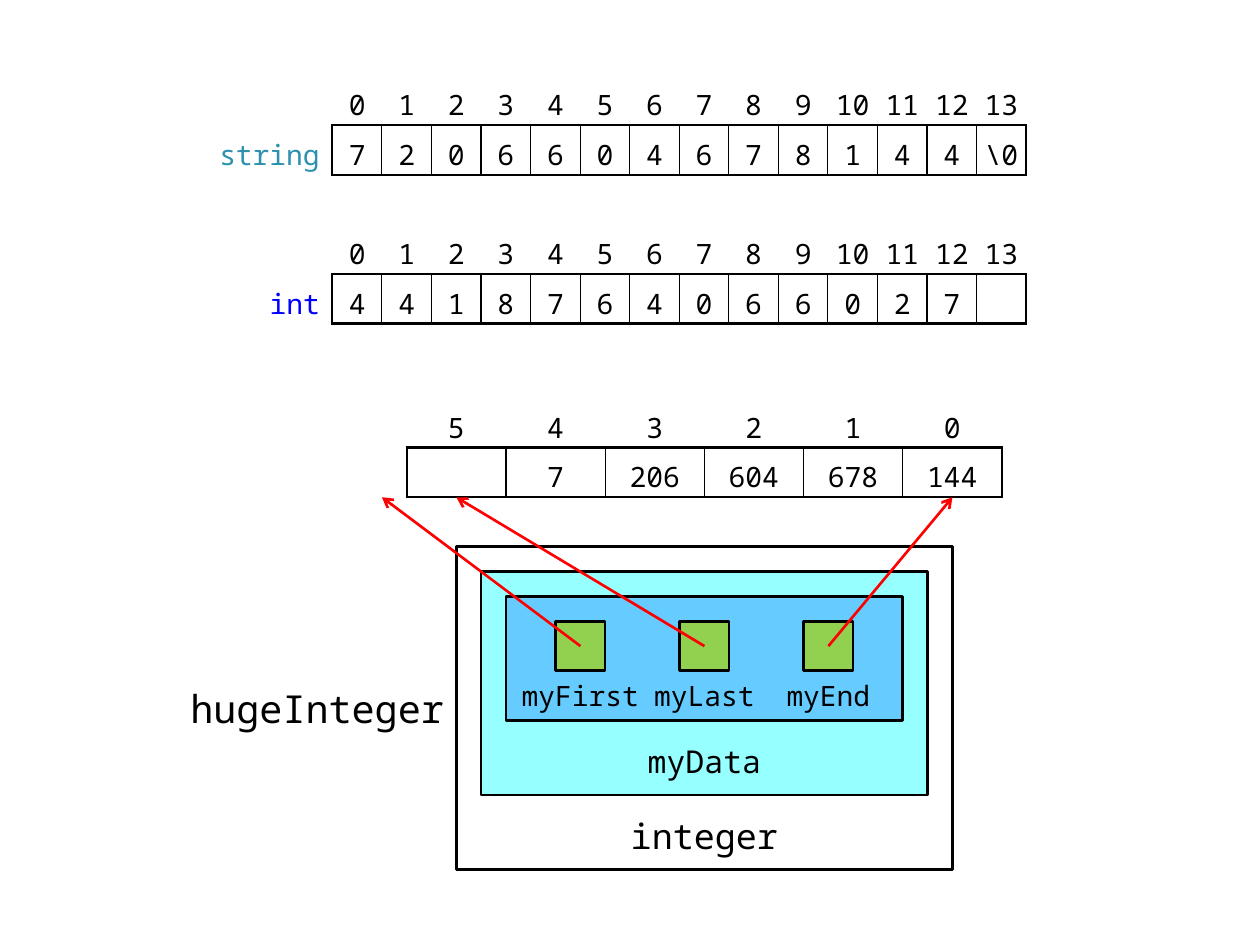
from dataclasses import dataclass

from pptx import Presentation
from pptx.dml.color import RGBColor
from pptx.enum.shapes import MSO_CONNECTOR as Connector, MSO_SHAPE as Shape
from pptx.enum.text import MSO_ANCHOR as Anchor, PP_ALIGN as Align
from pptx.oxml import parse_xml
from pptx.oxml.ns import nsdecls, qn
from pptx.util import Inches, Pt


@dataclass(frozen=True)
class Theme:
    font: str = "Noto Sans Mono"
    black: str = "000000"
    white: str = "FFFFFF"
    type_name: str = "2B91AF"
    keyword: str = "0000FF"
    pale_cyan: str = "96FFFF"
    sky: str = "66CCFF"
    green: str = "92D050"
    red: str = "FF0000"
    small: int = 16
    medium: int = 18
    large: int = 20
    huge: int = 22
    thin: float = 0.75
    thick: float = 1.5


THEME = Theme()
CELL = 1 / 2.54
LEFT, TOP = 1.26, 0.6
NO_GRID_STYLE = "{2D5ABB26-0587-4C30-8999-92F81FD0307C}"


def set_attributes(target, values):
    for name, value in values.items():
        setattr(target, name, value)


def grid_x(column):
    return Inches(LEFT + column * CELL)


def grid_y(row):
    return Inches(TOP + row * CELL)


def size(cells):
    return Inches(cells * CELL)


class Diagram:
    def __init__(self, slide, theme):
        self.slide = slide
        self.theme = theme

    def add_text(self, paragraph, text, points, color, align, spacing=None):
        set_attributes(paragraph, {"alignment": align, "line_spacing": spacing})
        run = paragraph.add_run()
        run.text = text
        set_attributes(run.font, {"name": self.theme.font, "size": Pt(points)})
        run.font.color.rgb = RGBColor.from_string(color)

    def box(self, column, row, width, height, fill, kind=Shape.FLOWCHART_PROCESS):
        shape = self.slide.shapes.add_shape(
            kind, grid_x(column), grid_y(row), size(width), size(height))
        shape.shadow.inherit = False
        shape.fill.solid()
        shape.fill.fore_color.rgb = RGBColor.from_string(fill)
        shape.line.color.rgb = RGBColor.from_string(self.theme.black)
        shape.line.width = Pt(self.theme.thick)

    def label(self, column, row, width, height, text, points,
              align=Align.CENTER, side=0.1, bottom=0.05):
        shape = self.slide.shapes.add_textbox(
            grid_x(column), grid_y(row), size(width), size(height))
        frame = shape.text_frame
        set_attributes(frame, {
            "word_wrap": True, "vertical_anchor": Anchor.MIDDLE,
            "margin_left": Inches(side), "margin_right": Inches(side),
            "margin_top": Inches(0.05), "margin_bottom": Inches(bottom)})
        self.add_text(frame.paragraphs[0], text, points, self.theme.black, align)

    def arrow(self, start, end):
        connector = self.slide.shapes.add_connector(
            Connector.STRAIGHT, grid_x(start[0]), grid_y(start[1]),
            grid_x(end[0]), grid_y(end[1]))
        connector.line.color.rgb = RGBColor.from_string(self.theme.red)
        connector.line.width = Pt(self.theme.thick)
        line = connector.line._get_or_add_ln()
        line.append(parse_xml(f'<a:tailEnd {nsdecls("a")} type="arrow"/>'))
        line.addnext(parse_xml(f'<a:effectLst {nsdecls("a")}/>'))

    def border(self, cell, widths):
        properties = cell._tc.get_or_add_tcPr()
        for side, width in widths.items():
            properties.append(parse_xml(
                f'<a:ln{side} {nsdecls("a")} w="{Pt(width)}"><a:solidFill>'
                f'<a:srgbClr val="{self.theme.black}"/></a:solidFill></a:ln{side}>'))

    def fill_cell(self, cell, text, color, align=Align.CENTER, side=0, widths=None):
        set_attributes(cell, {
            "vertical_anchor": Anchor.MIDDLE,
            "margin_left": Inches(side), "margin_right": Inches(side),
            "margin_top": 0, "margin_bottom": 0})
        self.border(cell, widths or {})
        cell.fill.background()
        if text:
            self.add_text(cell.text_frame.paragraphs[0], text,
                          self.theme.small, color, align, 1.25)

    def array(self, column, row, indexes, values, width, name="", name_color=""):
        theme = self.theme
        offset = 1 if name else 0
        widths = [3] * offset + [width] * len(values)
        frame = self.slide.shapes.add_table(
            2, len(widths), grid_x(column), grid_y(row), size(sum(widths)), size(2))
        table = frame.table
        set_attributes(table, {"first_row": False, "horz_banding": False})
        table._tbl.tblPr.find(qn("a:tableStyleId")).text = NO_GRID_STYLE
        for table_column, cells in zip(table.columns, widths):
            table_column.width = size(cells)
        for table_row in table.rows:
            table_row.height = size(1)
        if name:
            self.fill_cell(table.cell(0, 0), "", theme.black)
            self.fill_cell(table.cell(1, 0), name, name_color, Align.RIGHT, 0.1,
                           {"R": theme.thick})
        last = len(values) - 1
        for position, (index, value) in enumerate(zip(indexes, values)):
            place = position + offset
            self.fill_cell(table.cell(0, place), str(index), theme.black,
                           widths={"B": theme.thick})
            self.fill_cell(table.cell(1, place), value, theme.black, widths={
                "L": theme.thin if position else theme.thick,
                "R": theme.thin if position < last else theme.thick,
                "T": theme.thick, "B": theme.thick})


def main():
    presentation = Presentation()
    set_attributes(presentation, {"slide_width": Inches(10), "slide_height": Inches(7.5)})
    slide = presentation.slides.add_slide(presentation.slide_layouts[6])
    diagram = Diagram(slide, THEME)

    diagram.array(0.5, 0, range(14), [*"7206604678144", "\\0"], 1,
                  "string", THEME.type_name)
    diagram.array(0.5, 3, range(14), [*"4418764066027", ""], 1,
                  "int", THEME.keyword)
    diagram.array(5, 6.5, range(5, -1, -1), ["", "7", "206", "604", "678", "144"], 2)

    diagram.box(6, 9.5, 10, 6.5, THEME.white)
    diagram.label(0, 12, 6, 1.5, "hugeInteger", THEME.huge, Align.RIGHT)
    diagram.box(6.5, 10, 9, 4.5, THEME.pale_cyan)
    diagram.label(9, 13, 4, 1.5, "myData", THEME.medium, side=0.08, bottom=0)
    diagram.box(7, 10.5, 8, 2.5, THEME.sky)
    diagram.label(9, 14.5, 4, 1.5, "integer", THEME.large, side=0.08, bottom=0)

    pointers = [("myFirst", 7, 4.5), ("myLast", 9.5, 6), ("myEnd", 12, 16)]
    for name, column, _ in pointers:
        diagram.label(column, 12, 3, 1, name, THEME.small)
        diagram.box(column + 1, 11, 1, 1, THEME.green, Shape.RECTANGLE)
    for _, column, target in pointers:
        diagram.arrow((column + 1.5, 11.5), (target, 8.5))

    presentation.save("out.pptx")


if __name__ == "__main__":
    main()
